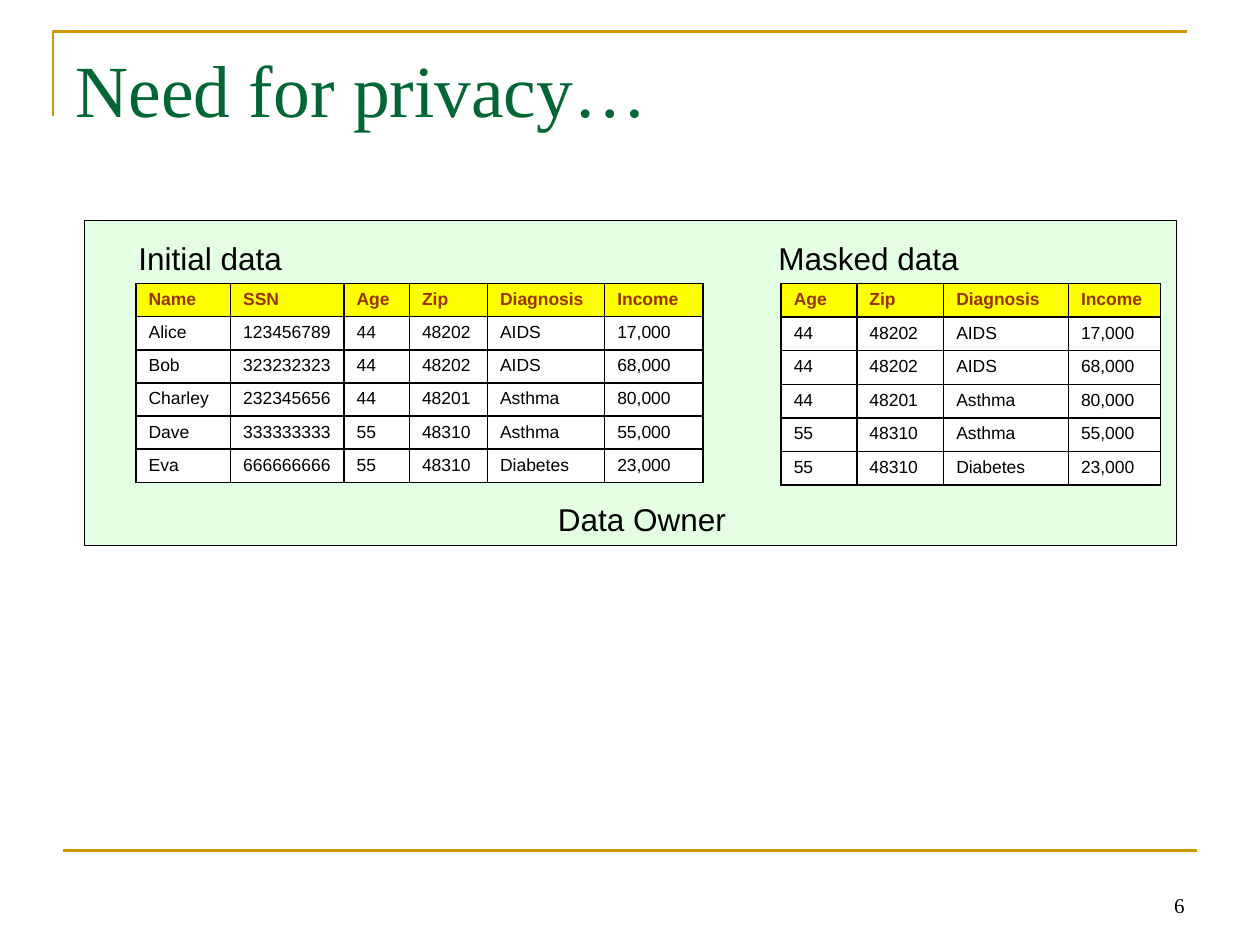
from dataclasses import dataclass

from lxml.etree import SubElement
from pptx import Presentation
from pptx.dml.color import RGBColor
from pptx.enum.shapes import MSO_CONNECTOR, MSO_SHAPE
from pptx.enum.text import MSO_ANCHOR, MSO_AUTO_SIZE, PP_ALIGN
from pptx.oxml import parse_xml
from pptx.oxml.ns import nsdecls, qn
from pptx.slide import Slide
from pptx.util import Inches, Pt


def rgb(code: str) -> RGBColor:
    return RGBColor.from_string(code)


@dataclass(frozen=True)
class Theme:
    serif: str = "Times New Roman"
    sans: str = "Arial"
    black: RGBColor = rgb("000000")
    white: RGBColor = rgb("FFFFFF")
    rule: RGBColor = rgb("CC9900")
    title: RGBColor = rgb("006633")
    panel: RGBColor = rgb("CCFFCC")
    header_fill: RGBColor = rgb("FFFF00")
    header_text: RGBColor = rgb("993300")
    title_size: float = 42
    label_size: float = 18
    number_size: float = 12
    cell_size: float = 10
    rule_width: float = 1.5
    panel_line: float = 0.75
    border_width: float = 1


THEME = Theme()


@dataclass(frozen=True)
class Label:
    text: str
    left: float
    top: float
    width: float
    height: float = 0.4
    size: float = THEME.label_size
    font: str = THEME.sans
    align: PP_ALIGN = PP_ALIGN.LEFT
    anchor: MSO_ANCHOR = MSO_ANCHOR.TOP
    grow: bool = True


@dataclass(frozen=True)
class DataTable:
    left: float
    top: float
    height: float
    widths: tuple[float, ...]
    rows: list[tuple[str, ...]]


RECORDS = [
    ("Name", "SSN", "Age", "Zip", "Diagnosis", "Income"),
    ("Alice", "123456789", "44", "48202", "AIDS", "17,000"),
    ("Bob", "323232323", "44", "48202", "AIDS", "68,000"),
    ("Charley", "232345656", "44", "48201", "Asthma", "80,000"),
    ("Dave", "333333333", "55", "48310", "Asthma", "55,000"),
    ("Eva", "666666666", "55", "48310", "Diabetes", "23,000"),
]
IDENTIFIER_COUNT = 2  # Name and SSN are dropped from the masked data

TABLES = [
    DataTable(1.08, 2.25, 1.58, (0.75, 0.9, 0.52, 0.62, 0.93, 0.78), RECORDS),
    DataTable(6.2, 2.25, 1.6, (0.6, 0.69, 0.99, 0.73),
              [record[IDENTIFIER_COUNT:] for record in RECORDS]),
]
LABELS = [
    Label("Initial data", 1, 1.85, 1.95),
    Label("Masked data", 6.08, 1.85, 2.28),
    Label("Data Owner", 4.33, 3.92, 1.55),
    Label("6", 7.17, 6.83, 2.33, 0.5, THEME.number_size, THEME.serif,
          PP_ALIGN.RIGHT, MSO_ANCHOR.BOTTOM, grow=False),
]


def style_paragraph(paragraph, font: str, size: float, color: RGBColor,
                    align: PP_ALIGN = PP_ALIGN.LEFT, bold: bool = False) -> None:
    paragraph.alignment = align
    paragraph.font.name = font
    paragraph.font.size = Pt(size)
    paragraph.font.bold = bold
    paragraph.font.color.rgb = color


def style_line(line, color: RGBColor, width: float) -> None:
    line.color.rgb = color
    line.width = Pt(width)


def draw_rules(slide: Slide) -> None:
    builder = slide.shapes.build_freeform(Inches(0.42), Inches(0.92))
    builder.add_line_segments(
        [(Inches(0.42), Inches(0.25)), (Inches(9.42), Inches(0.25))], close=False)
    corner = builder.convert_to_shape()
    corner.shadow.inherit = False
    corner.fill.background()
    style_line(corner.line, THEME.rule, THEME.rule_width)

    footer = slide.shapes.add_connector(
        MSO_CONNECTOR.STRAIGHT, Inches(0.5), Inches(6.75), Inches(9.5), Inches(6.75))
    style_line(footer.line, THEME.rule, THEME.rule_width)
    SubElement(footer._element.spPr, qn("a:effectLst"))


def write_title(slide: Slide, text: str) -> None:
    title = slide.shapes.title
    title.left, title.top = Inches(0.5), Inches(0.3)
    title.width, title.height = Inches(9), Inches(1.25)
    frame = title.text_frame
    frame.text = text
    frame.vertical_anchor = MSO_ANCHOR.TOP
    style_paragraph(frame.paragraphs[0], THEME.serif, THEME.title_size, THEME.title)


def draw_panel(slide: Slide) -> None:
    panel = slide.shapes.add_shape(
        MSO_SHAPE.RECTANGLE, Inches(0.67), Inches(1.75), Inches(8.67), Inches(2.58))
    panel.shadow.inherit = False
    panel.fill.solid()
    panel.fill.fore_color.rgb = THEME.panel
    color = panel._element.spPr.find(qn("a:solidFill")).find(qn("a:srgbClr"))
    SubElement(color, qn("a:alpha")).set("val", "50000")
    style_line(panel.line, THEME.black, THEME.panel_line)


def draw_label(slide: Slide, label: Label) -> None:
    """Growing labels stay on one line; the others wrap in a fixed box."""
    box = slide.shapes.add_textbox(
        Inches(label.left), Inches(label.top), Inches(label.width), Inches(label.height))
    frame = box.text_frame
    frame.text = label.text
    frame.word_wrap = not label.grow
    frame.auto_size = MSO_AUTO_SIZE.SHAPE_TO_FIT_TEXT if label.grow else MSO_AUTO_SIZE.NONE
    frame.vertical_anchor = label.anchor
    style_paragraph(frame.paragraphs[0], label.font, label.size, THEME.black, label.align)


def add_borders(cell) -> None:
    properties = cell._tc.get_or_add_tcPr()
    for side in ("lnL", "lnR", "lnT", "lnB"):
        properties.append(parse_xml(
            f'<a:{side} {nsdecls("a")} w="{Pt(THEME.border_width)}"><a:solidFill>'
            f'<a:srgbClr val="{THEME.black}"/></a:solidFill></a:{side}>'))


def fill_cell(cell, text: str, is_header: bool) -> None:
    add_borders(cell)
    cell.fill.solid()
    cell.fill.fore_color.rgb = THEME.header_fill if is_header else THEME.white
    cell.text = text
    style_paragraph(cell.text_frame.paragraphs[0], THEME.sans, THEME.cell_size,
                    THEME.header_text if is_header else THEME.black,
                    PP_ALIGN.JUSTIFY, is_header)


def draw_table(slide: Slide, data: DataTable) -> None:
    table = slide.shapes.add_table(
        len(data.rows), len(data.widths), Inches(data.left), Inches(data.top),
        Inches(sum(data.widths)), Inches(data.height)).table
    table.first_row = table.horz_banding = False
    for column, width in zip(table.columns, data.widths):
        column.width = Inches(width)
    for row_index, record in enumerate(data.rows):
        for column_index, value in enumerate(record):
            fill_cell(table.cell(row_index, column_index), value, row_index == 0)


def main() -> None:
    deck = Presentation()
    deck.slide_width, deck.slide_height = Inches(10), Inches(7.5)
    slide = deck.slides.add_slide(deck.slide_layouts.get_by_name("Title Only"))
    draw_rules(slide)
    write_title(slide, "Need for privacy…")
    draw_panel(slide)
    for data in TABLES:
        draw_table(slide, data)
    for label in LABELS:
        draw_label(slide, label)
    deck.save("out.pptx")


if __name__ == "__main__":
    main()
